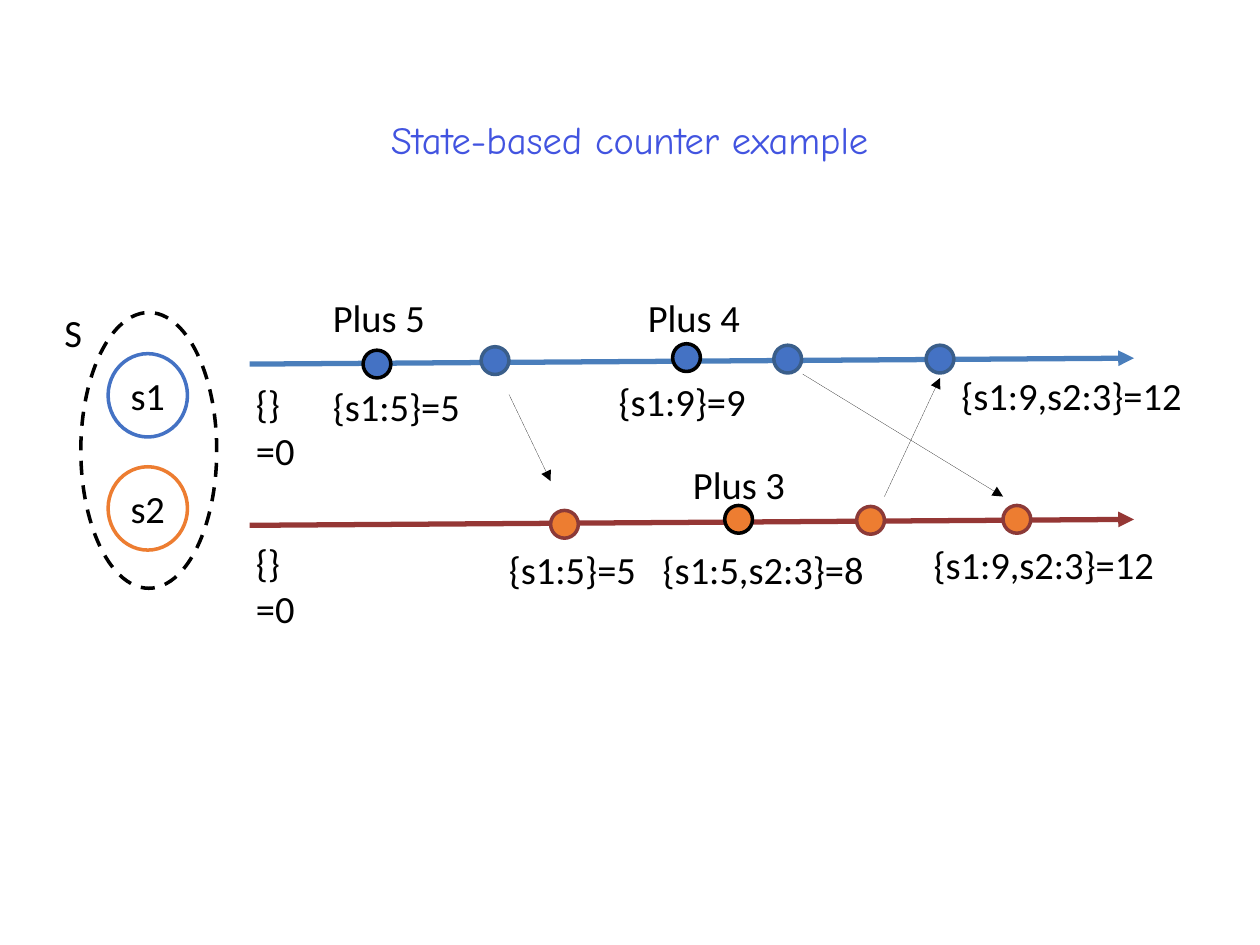
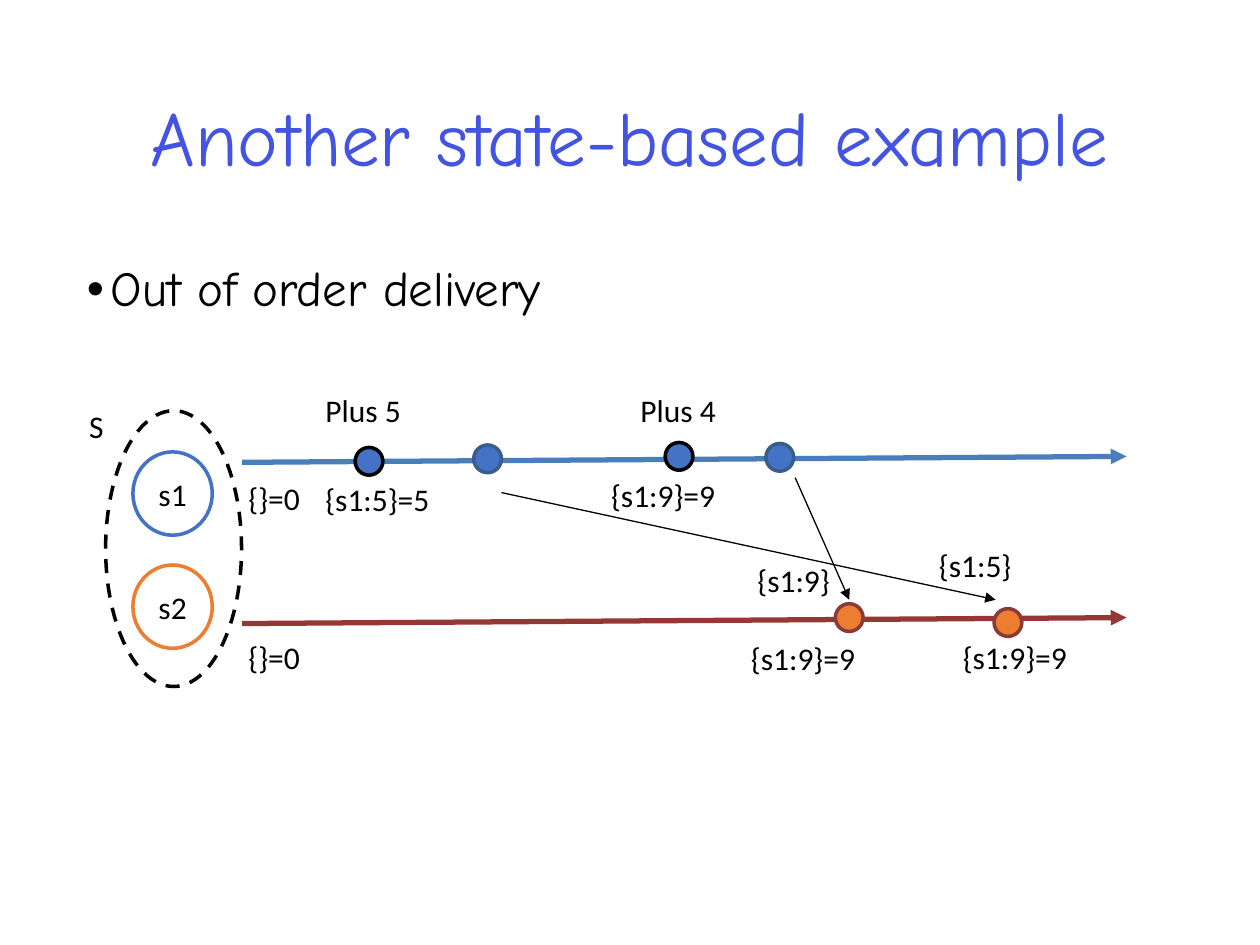
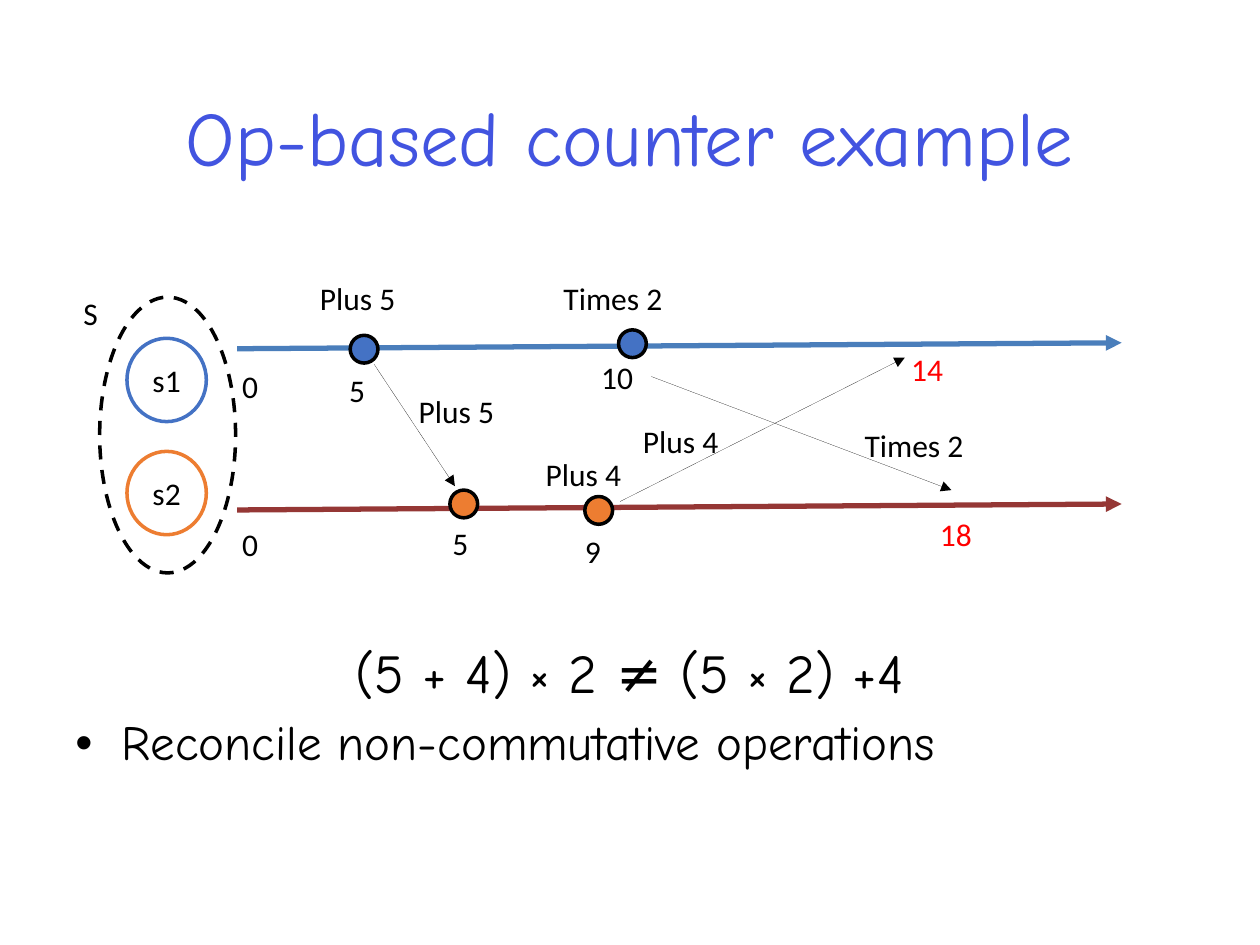
from lxml import etree
from pptx import Presentation
from pptx import util as u
from pptx.dml.color import RGBColor
from pptx.enum import dml, shapes, text
from pptx.oxml.ns import qn

COLORS = {
    "title": "4254E0", "text": "000000", "paper": "FFFFFF", "result": "FF0000",
    "s1": "4472C4", "s1_edge": "3A5E8A", "s1_axis": "4A7EBB",
    "s2": "ED7D31", "s2_edge": "8C3A38", "s2_axis": "953735",
}
HEADING, BODY = "Comic Neue", "Calibri"
# Label box widths and heights in cm, by text size; widths by number of characters
WIDTHS = {
    18: {1: 0.61, 2: 0.97, 4: 1.42, 6: 1.96, 7: 2.46, 8: 2.57},
    22: {1: 0.61, 4: 1.52, 6: 2.25, 8: 2.95, 13: 4.45, 14: 4.9},
}
HEIGHTS = {18: 0.99, 22: 1.19}
INSET = 0.13
NODE = 0.56


class Deck:
    def __init__(self):
        self.prs = Presentation()
        self.prs.slide_width, self.prs.slide_height = u.Cm(25.4), u.Cm(19.05)
        self.s = None
        self.size = 18

    def new_slide(self, title, title_size=44, label_size=18):
        self.s = self.prs.slides.add_slide(self.prs.slide_layouts[6])
        self.size = label_size
        tf = self.box(1.75, 1.02, 21.89, 3.68)
        tf.vertical_anchor = text.MSO_ANCHOR.MIDDLE
        p = tf.paragraphs[0]
        p.text, p.alignment, p.line_spacing = title, text.PP_ALIGN.CENTER, 0.9
        self.style(p, title_size, HEADING, "title")

    def color(self, name):
        return RGBColor.from_string(COLORS[name])

    def style(self, p, size, font=BODY, color="text"):
        for r in p.runs:
            r.font.size, r.font.name = u.Pt(size), font
            r.font.color.rgb = self.color(color)

    def box(self, x, y, w, h):
        tf = self.s.shapes.add_textbox(u.Cm(x), u.Cm(y), u.Cm(w), u.Cm(h)).text_frame
        tf.word_wrap = True
        return tf

    def body(self, x, y, h, items):
        """Items are (text, size, bullet indent); an indent of 0 means centred."""
        tf = self.box(x, y, 22.86, h)
        for i, (words, size, indent) in enumerate(items):
            p = tf.add_paragraph() if i else tf.paragraphs[0]
            p.text, p.line_spacing, p.space_before = words, 0.9, u.Pt(7.5)
            self.style(p, size, HEADING)
            if indent:
                pPr = p._p.get_or_add_pPr()
                pPr.set("marL", str(u.Cm(indent)))
                pPr.set("indent", str(-u.Cm(indent)))
                etree.SubElement(pPr, qn("a:buFont")).set("typeface", "Arial")
                etree.SubElement(pPr, qn("a:buChar")).set("char", "•")
            else:
                p.alignment = text.PP_ALIGN.CENTER

    def label(self, words, x, y, color="text", wrap=False):
        tf = self.box(x, y, WIDTHS[self.size][len(words)], HEIGHTS[self.size])
        tf.margin_left = tf.margin_right = tf.margin_top = tf.margin_bottom = u.Cm(INSET)
        tf.word_wrap = wrap
        tf.auto_size = text.MSO_AUTO_SIZE.SHAPE_TO_FIT_TEXT
        tf.paragraphs[0].text = words
        self.style(tf.paragraphs[0], self.size, color=color)

    def oval(self, x, y, w, h, fill, line):
        sp = self.s.shapes.add_shape(
            shapes.MSO_SHAPE.OVAL, u.Cm(x), u.Cm(y), u.Cm(w), u.Cm(h))
        sp.shadow.inherit = False
        sp.fill.solid()
        sp.fill.fore_color.rgb = self.color(fill)
        sp.line.color.rgb = self.color(line)
        sp.line.width = u.Pt(2)
        return sp

    def node(self, replica, x, y, local=True):
        """A local operation has a black outline."""
        self.oval(x, y, NODE, NODE, replica, "text" if local else replica + "_edge")

    def arrow(self, x1, y1, x2, y2, color="text", width=None):
        sp = self.s.shapes.add_connector(
            shapes.MSO_CONNECTOR.STRAIGHT, u.Cm(x1), u.Cm(y1), u.Cm(x2), u.Cm(y2))
        # Without the theme style there is no shadow and no preset width
        sp._element.remove(sp._element.find(qn("p:style")))
        sp.line.color.rgb = self.color(color)
        if width:
            sp.line.width = u.Pt(width)
        etree.SubElement(sp.line._get_or_add_ln(), qn("a:tailEnd")).set("type", "triangle")

    def replicas(self, x, y, axis_x):
        """The set S with its two replicas and their time axes."""
        sp = self.oval(x, y, 2.74, 5.56, "paper", "text")
        sp.line.dash_style = dml.MSO_LINE.DASH
        for i, name in enumerate(("s1", "s2")):
            sp = self.oval(x + 0.55, y + 0.83 + 2.28 * i, 1.6, 1.68, "paper", name)
            tf = sp.text_frame
            tf.margin_left = tf.margin_right = tf.margin_top = tf.margin_bottom = 0
            tf.word_wrap = False
            tf.vertical_anchor = text.MSO_ANCHOR.MIDDLE
            tf.text = name
            tf.paragraphs[0].alignment = text.PP_ALIGN.CENTER
            self.style(tf.paragraphs[0], self.size)
            axis_y = y + 1.04 + 3.25 * i
            self.arrow(axis_x, axis_y, axis_x + 17.83, axis_y - 0.12, name + "_axis", 3)
        self.label("S", x - 0.46, y - 0.2)

    def timeline(self, nodes, labels, messages, width=None):
        for node in nodes:
            self.node(*node)
        for label in labels:
            self.label(*label)
        for ends in messages:
            self.arrow(*ends, width=width)


def main():
    d = Deck()

    # State-based counter
    d.new_slide("State-based counter example", title_size=22, label_size=22)
    d.replicas(1.63, 6.3, 5.03)
    for y in (7.54, 10.74):
        d.label("{}=0", 5.03, y, wrap=True)
    d.timeline(
        nodes=[
            ("s1", 7.32, 7.06), ("s1", 9.7, 6.99, False), ("s1", 13.56, 6.93),
            ("s1", 15.6, 6.96, False), ("s1", 18.67, 6.96, False),
            ("s2", 11.1, 10.29, False), ("s2", 14.61, 10.19),
            ("s2", 17.27, 10.21, False), ("s2", 20.22, 10.19, False),
        ],
        labels=[
            ("Plus 5", 6.58, 5.79), ("Plus 4", 12.93, 5.79), ("Plus 3", 13.84, 9.17),
            ("{s1:5}=5", 6.58, 7.59), ("{s1:9}=9", 12.34, 7.49),
            ("{s1:9,s2:3}=12", 19.25, 7.37),
            ("{s1:5}=5", 10.13, 10.87), ("{s1:5,s2:3}=8", 13.23, 10.87),
            ("{s1:9,s2:3}=12", 18.69, 10.77),
        ],
        messages=[
            (10.26, 7.95, 11.1, 9.7), (16.18, 7.54, 20.22, 10.01),
            (17.83, 10.01, 18.95, 7.62),
        ])

    # Out of order delivery
    d.new_slide("Another state-based example")
    d.body(1.5, 5.21, 1.78, [("Out of order delivery", 28, 0.48)])
    d.replicas(2.13, 8.28, 4.88)
    d.timeline(
        nodes=[
            ("s1", 7.16, 9.02), ("s1", 9.55, 8.97, False), ("s1", 13.41, 8.92),
            ("s1", 15.44, 8.94, False),
            ("s2", 16.84, 12.17, False), ("s2", 20.04, 12.27, False),
        ],
        labels=[
            ("{}=0", 4.88, 9.53), ("{}=0", 4.88, 12.73),
            ("Plus 5", 6.43, 7.75), ("Plus 4", 12.78, 7.75),
            ("{s1:5}=5", 6.43, 9.55), ("{s1:9}=9", 12.19, 9.47),
            ("{s1:9}=9", 15.01, 12.75), ("{s1:9}=9", 19.28, 12.73),
            ("{s1:9}", 15.14, 11.18), ("{s1:5}", 18.8, 10.87),
        ],
        messages=[(10.11, 9.93, 20.07, 12.09), (16.03, 9.63, 17.12, 12.09)],
        width=0.75)

    # Operation-based counter
    d.new_slide("Op-based counter example")
    d.body(1.27, 12.9, 4.34, [
        ("(5 + 4) × 2 ≠ (5 × 2) +4", 31.4, 0),
        ("Reconcile non-commutative operations", 28, 0.94),
    ])
    d.replicas(2.01, 5.99, 4.78)
    d.timeline(
        nodes=[
            ("s1", 7.06, 6.76), ("s1", 12.47, 6.65),
            ("s2", 9.07, 9.88), ("s2", 11.79, 10.01),
        ],
        labels=[
            ("0", 4.75, 7.26), ("0", 4.75, 10.46),
            ("Plus 5", 6.32, 5.49), ("Times 2", 11.23, 5.49), ("Plus 4", 10.87, 9.04),
            ("5", 6.91, 7.34), ("10", 11.99, 7.09), ("14", 18.24, 6.93, "result"),
            ("5", 8.99, 10.44), ("9", 11.66, 10.59), ("18", 18.82, 10.26, "result"),
            ("Plus 5", 8.31, 7.77), ("Plus 4", 12.83, 8.38), ("Times 2", 17.3, 8.46),
        ],
        messages=[
            (7.54, 7.34, 9.17, 9.8), (13.13, 7.59, 19.18, 9.88),
            (12.5, 10.11, 18.24, 7.21),
        ])

    d.prs.save("out.pptx")


if __name__ == "__main__":
    main()
